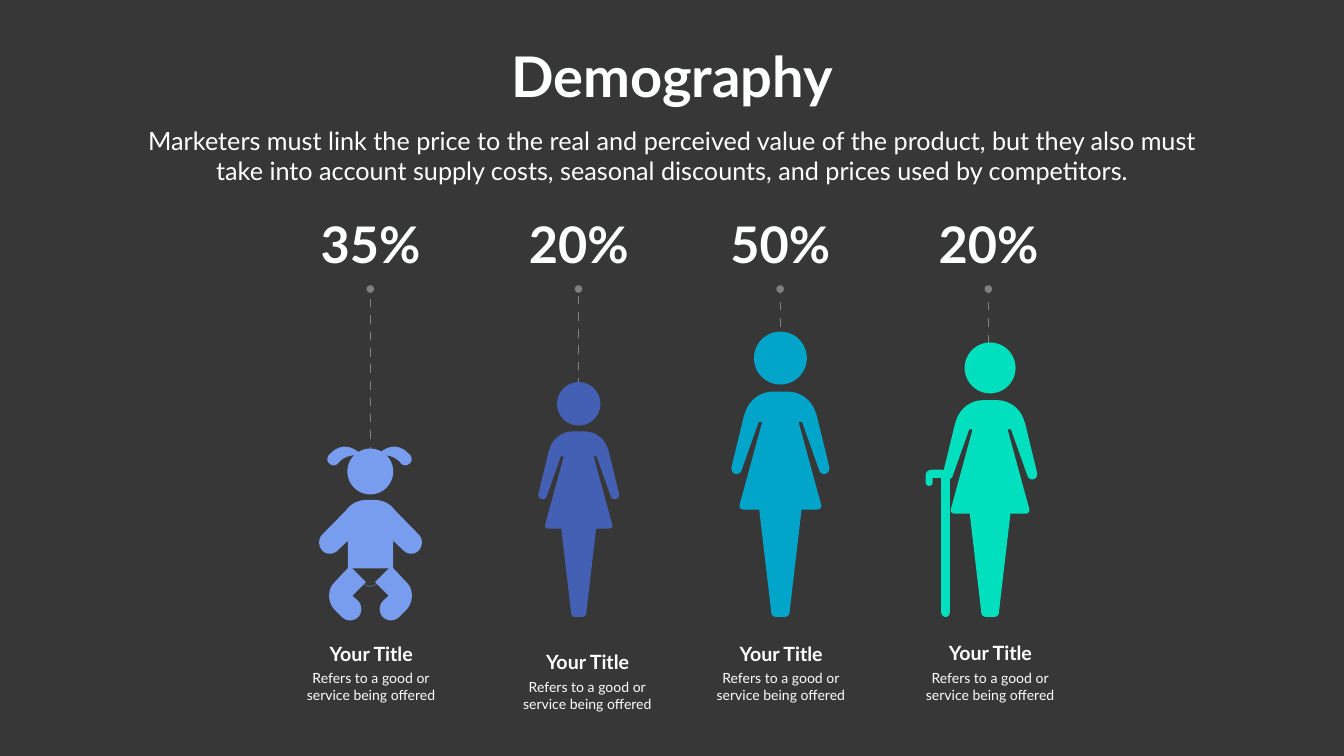
"""Build the Demography slide: four age groups with figures, shares and captions."""
from dataclasses import dataclass

from lxml.etree import SubElement
from pptx import Presentation
from pptx.dml.color import RGBColor
from pptx.enum.shapes import MSO_CONNECTOR as Link, MSO_SHAPE as Preset
from pptx.enum.text import MSO_AUTO_SIZE as AutoSize, PP_ALIGN as Align
from pptx.oxml.ns import qn
from pptx.shapes.shapetree import _BaseGroupShapes as Canvas
from pptx.util import Emu, Pt

EMU_PER_PX = 9144
Point = tuple[float, float]
Outline = list[Point]


@dataclass(frozen=True)
class Theme:
    font: str = "Lato"
    backdrop: str = "373737"
    text: str = "FEFFFF"
    dash: str = "808080"
    faint_dash: str = "606060"
    baby: str = "799DEE"
    girl: str = "4460B4"
    adult: str = "00A5C9"
    senior: str = "00DFBE"
    heading_size: int = 80
    share_size: int = 72
    intro_size: int = 36
    label_size: int = 28
    caption_size: int = 20
    dash_width: float = 1.02


@dataclass(frozen=True)
class AgeGroup:
    share: str
    center: int
    share_top: int
    label_center: int
    label_top: int
    lead_bottom: int
    faint_dashes: int


@dataclass(frozen=True)
class Woman:
    center: int
    top: int
    height: int
    color: str


THEME = Theme()
AGE_GROUPS = [
    AgeGroup("35%", 735, 418, 736, 1268, 936, 1),
    AgeGroup("20%", 1148, 418, 1165, 1285, 800, 0),
    AgeGroup("50%", 1548, 418, 1549, 1268, 746, 2),
    AgeGroup("20%", 1961, 417, 1964, 1267, 746, 2),
]
WOMEN = [
    Woman(1548, 777, 447, THEME.adult),
    Woman(1964, 794, 430, THEME.senior),
    Woman(1148, 856, 368, THEME.girl),
]
WOMAN_HEIGHT, HEAD_RISE, HEAD_SIZE = 447, 119, 105
LEAD_TOP, DASH_LENGTH, DASH_PITCH, DOT_SIZE = 572, 17, 32.6, 15

WOMAN_HALF = [
    (0, 0), (14, 0), (41, 0, 64, 18, 71, 45), (72, 47), (97, 150),
    (98, 156, 95, 161, 90, 163), (85, 165, 79, 162, 77, 156), (43, 60), (36, 60),
    (81, 225), (82, 229, 79, 234, 74, 234), (42, 234), (18, 439),
    (18, 443, 14, 447, 8, 447), (0, 447),
]
BABY_HALF = [
    (0, 0), (8, 0), (25, 0, 40, 8, 49, 21), (95, 68), (104, 76, 104, 91, 96, 100),
    (88, 109, 74, 109, 65, 100), (45, 81), (45, 136), (0, 136),
]
BABY_LEG = [
    (72, 164), (41, 131), (9, 163), (36, 190), (25, 200), (16, 209, 16, 224, 25, 233),
    (34, 241, 48, 241, 57, 232), (72, 217), (79, 209, 82, 199, 82, 190),
    (82, 180, 79, 171, 72, 164),
]
BABY_BELLY = [(-16, 164), (-7, 174, 6, 174, 15, 164), (6, 173, -7, 173, -16, 164)]
PIGTAIL = [
    (15, -88), (15, -88, 46, -127, 80, -90), (85, -84, 85, -76, 79, -72),
    (74, -67, 66, -68, 62, -73), (55, -82, 40, -92, 15, -88),
]
CANE = [
    (32, 0), (12, 0), (5, 0, 0, 5, 0, 12), (0, 24), (0, 29, 3, 32, 7, 32),
    (11, 32, 14, 29, 14, 24), (14, 16), (31, 16), (31, 282), (31, 288, 35, 292, 40, 292),
    (45, 292, 48, 288, 48, 282), (48, 16), (48, 7, 41, 0, 32, 0),
]


def px(length: float) -> Emu:
    return Emu(round(length * EMU_PER_PX))


def trace(steps: list[tuple[int, ...]], samples: int = 10) -> Outline:
    outline: Outline = []
    for step in steps:
        if len(step) == 2:
            outline.append(step)
            continue
        x0, y0 = outline[-1]
        x1, y1, x2, y2, x3, y3 = step
        for index in range(1, samples + 1):
            t = index / samples
            a, b, c, d = (1 - t) ** 3, 3 * t * (1 - t) ** 2, 3 * t * t * (1 - t), t ** 3
            outline.append((a * x0 + b * x1 + c * x2 + d * x3, a * y0 + b * y1 + c * y2 + d * y3))
    return outline


def mirror(outline: Outline) -> Outline:
    return [(-x, y) for x, y in reversed(outline)]


def paint(figure, color: str) -> None:
    figure.shadow.inherit = False
    figure.fill.solid()
    figure.fill.fore_color.rgb = RGBColor.from_string(color)
    figure.line.fill.background()


def draw_outline(canvas: Canvas, outline: Outline, left: int, top: int, color: str, scale: float = 1) -> None:
    points = [(px(left + x * scale), px(top + y * scale)) for x, y in outline]
    builder = canvas.build_freeform(*points[0])
    builder.add_line_segments(points[1:], close=True)
    paint(builder.convert_to_shape(), color)


def draw_disc(canvas: Canvas, left: float, top: float, size: float, color: str) -> None:
    paint(canvas.add_shape(Preset.OVAL, px(left), px(top), px(size), px(size)), color)


def draw_dash(canvas: Canvas, x: int, bottom: int, top: int, color: str) -> None:
    dash = canvas.add_connector(Link.STRAIGHT, px(x), px(bottom), px(x), px(top))
    dash.line.width = Pt(THEME.dash_width)
    dash.line.color.rgb = RGBColor.from_string(color)
    SubElement(dash._element.spPr, qn("a:effectLst"))


def draw_lead(canvas: Canvas, group: AgeGroup) -> None:
    count = int((group.lead_bottom - LEAD_TOP - 1) / DASH_PITCH) + 1
    for index in range(count):
        bottom = round(group.lead_bottom - index * DASH_PITCH)
        top = max(bottom - DASH_LENGTH, LEAD_TOP)
        faint = index < group.faint_dashes or bottom - top < DASH_LENGTH
        draw_dash(canvas, group.center, bottom, top, THEME.faint_dash if faint else THEME.dash)
    draw_disc(canvas, group.center - 8, LEAD_TOP - 6, DOT_SIZE, THEME.dash)


def draw_woman(canvas: Canvas, woman: Woman) -> None:
    scale = woman.height / WOMAN_HEIGHT
    head = HEAD_SIZE * scale
    draw_disc(canvas, woman.center - head / 2, woman.top - HEAD_RISE * scale, head, woman.color)
    half = trace(WOMAN_HALF)
    draw_outline(canvas, half + mirror(half), woman.center, woman.top, woman.color, scale)


def draw_baby(canvas: Canvas, center: int, top: int) -> None:
    half, leg, pigtail = trace(BABY_HALF), trace(BABY_LEG), trace(PIGTAIL)
    draw_disc(canvas, center - 46, top - 102, 91, THEME.baby)
    for part in (mirror(leg), leg, half + mirror(half), trace(BABY_BELLY)):
        draw_outline(canvas, part, center, top, THEME.baby)
    for part in (mirror(pigtail), pigtail):
        draw_outline(canvas, part, center - 2, top, THEME.baby)


def write(canvas: Canvas, lines: list[str], box: tuple[int, int, int, int], size: int,
          bold: bool = False, wrap: bool = True) -> None:
    frame = canvas.add_textbox(*map(px, box)).text_frame
    frame.word_wrap = wrap
    frame.auto_size = AutoSize.SHAPE_TO_FIT_TEXT
    frame.text = "\n".join(lines)
    for paragraph in frame.paragraphs:
        paragraph.alignment = Align.CENTER
        paragraph.font.name = THEME.font
        paragraph.font.size = Pt(size)
        paragraph.font.bold = bold
        paragraph.font.color.rgb = RGBColor.from_string(THEME.text)


def main() -> None:
    deck = Presentation()
    deck.slide_width, deck.slide_height = px(2666), px(1500)
    slide = deck.slides.add_slide(deck.slide_layouts[6])
    slide.background.fill.solid()
    slide.background.fill.fore_color.rgb = RGBColor.from_string(THEME.backdrop)
    canvas = slide.shapes

    for group in AGE_GROUPS:
        draw_lead(canvas, group)
    draw_outline(canvas, trace(CANE), 1836, 932, THEME.senior)
    for woman in WOMEN:
        draw_woman(canvas, woman)
    draw_baby(canvas, 735, 992)

    write(canvas, ["Demography"], (997, 78, 672, 145), THEME.heading_size, bold=True, wrap=False)
    intro = ("Marketers must link the price to the real and perceived value of the product, "
             "but they also must take into account supply costs, seasonal discounts, "
             "and prices used by competitors.")
    write(canvas, [intro], (268, 244, 2130, 131), THEME.intro_size)
    for group in AGE_GROUPS:
        legend = canvas.add_group_shape().shapes
        write(legend, ["Refers to a good or", "service being offered"],
              (group.label_center - 144, group.label_top + 56, 288, 77), THEME.caption_size)
        write(legend, ["Your Title"], (group.label_center - 96, group.label_top, 193, 57),
              THEME.label_size, bold=True)
    for group in AGE_GROUPS:
        write(canvas, [group.share], (group.center - 128, group.share_top, 256, 131),
              THEME.share_size, bold=True)
    deck.save("out.pptx")


if __name__ == "__main__":
    main()
